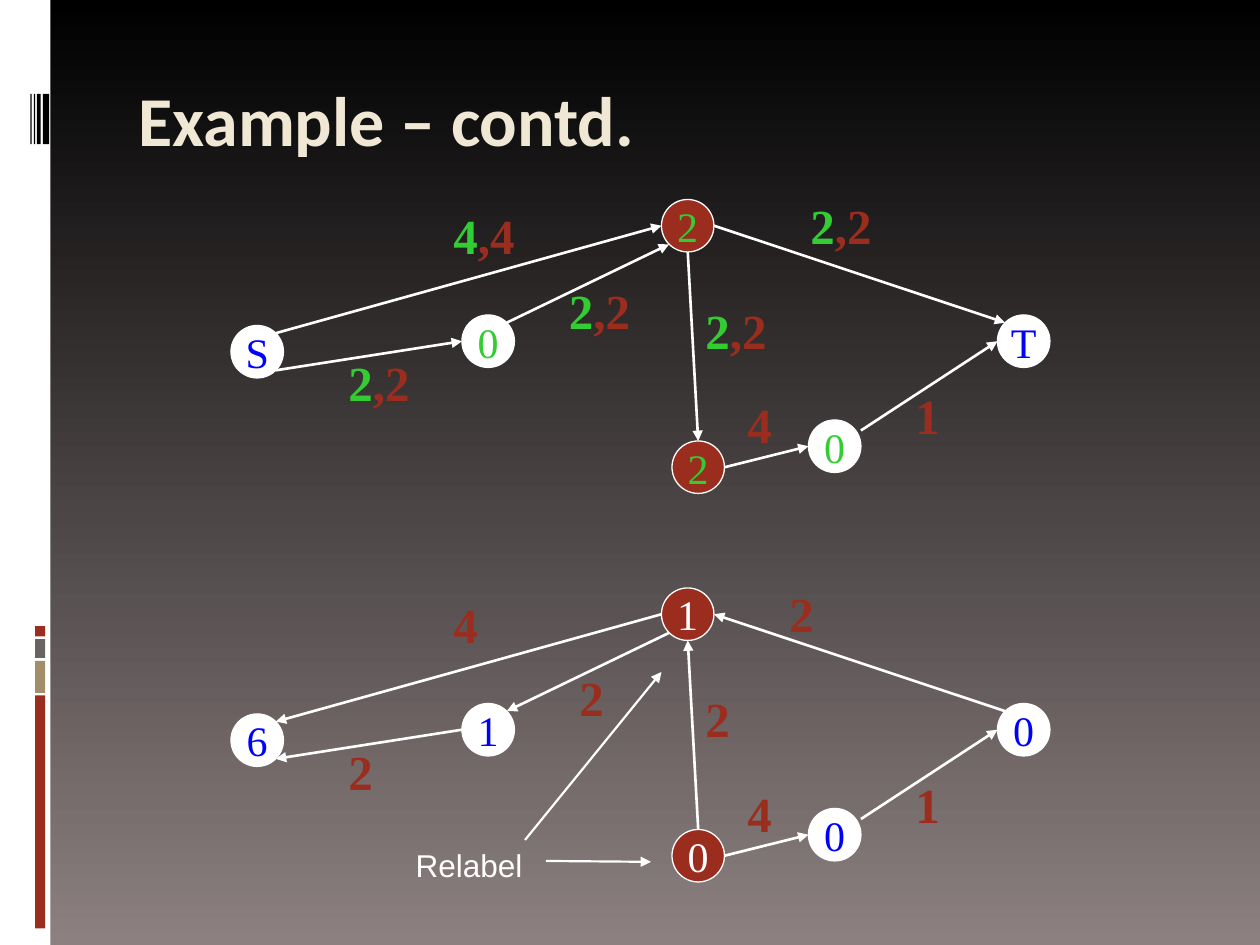
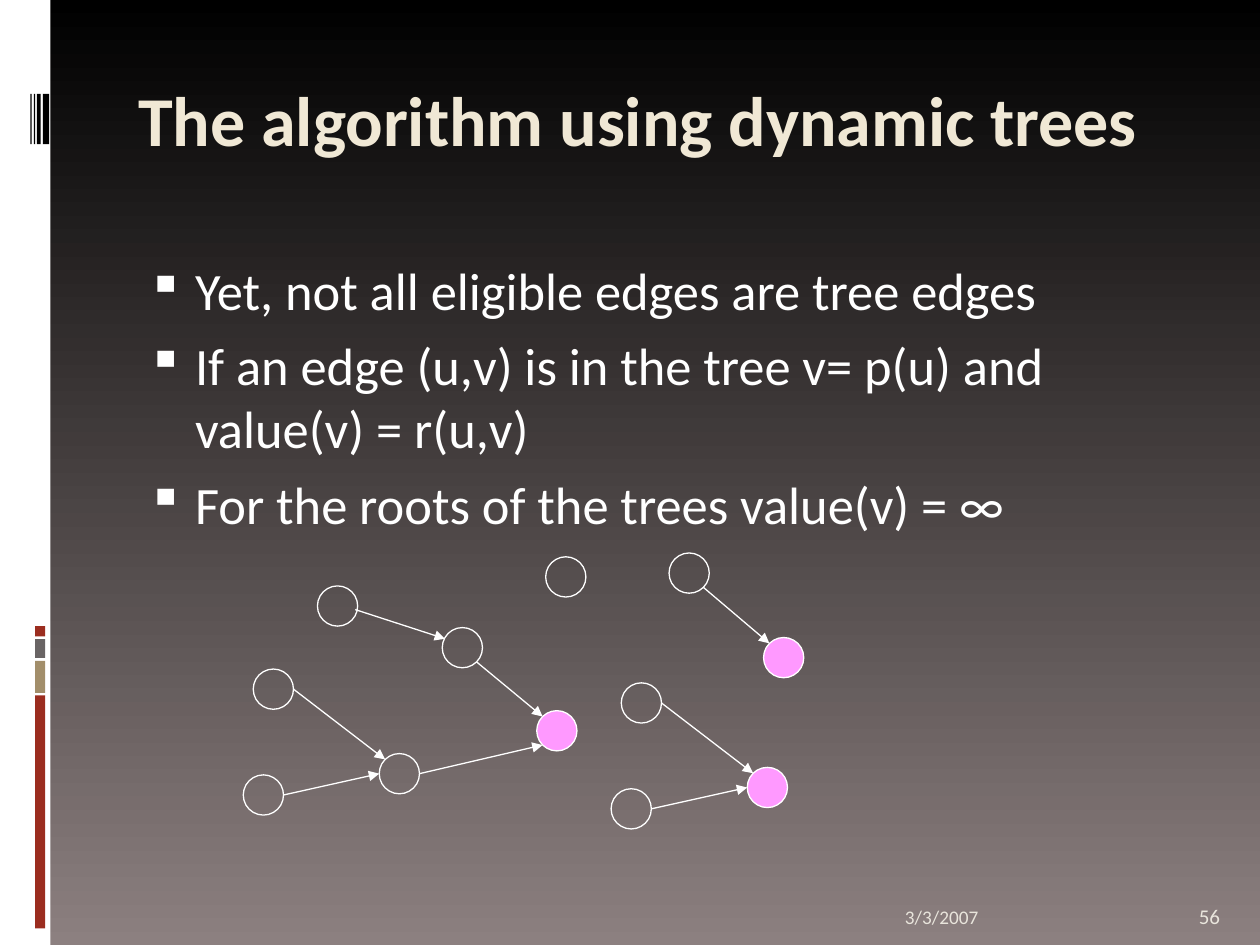
from lxml.etree import SubElement
from pptx import Presentation
from pptx.dml.color import RGBColor
from pptx.enum.shapes import MSO_CONNECTOR as Link, MSO_SHAPE as Form
from pptx.enum.text import MSO_ANCHOR as Anchor, PP_ALIGN as Align
from pptx.oxml.ns import qn
from pptx.util import Pt

WHITE, BLACK, RUST, GREEN, BLUE = "FFFFFF", "000000", "9B2D1F", "33CC33", "0000FF"
SAND, GREY, PINK, CREAM, PALE = "A28E6A", "696464", "FF99FF", "F0E8D5", "E9E5DC"
SANS, SERIF = "Calibri", "Times New Roman"

# Points on a circle as fractions of its box
DIAG = 0.146
PORTS = {
    "n": (0.5, 0), "s": (0.5, 1), "w": (0, 0.5), "e": (1, 0.5),
    "nw": (DIAG, DIAG), "ne": (1 - DIAG, DIAG),
    "sw": (DIAG, 1 - DIAG), "se": (1 - DIAG, 1 - DIAG),
    "upper e": (1, 0.2), "lower e": (0.94, 0.59), "upper w": (0.07, 0.28),
}

# Flow network: places of the vertices, and the ports each edge joins
VERTICES = {"source": (0, 78), "left": (132, 72), "top": (246, 6),
            "low": (252, 144), "right": (330, 132), "sink": (438, 72)}
FLOW_EDGES = [
    ("source", "ne", "top", "w"), ("source", "se", "left", "w"),
    ("left", "ne", "top", "sw"), ("top", "s", "low", "n"),
    ("top", "e", "sink", "nw"), ("low", "e", "right", "w"),
    ("right", "upper e", "sink", "w"),
]
# Per vertex: text and text colour. Per edge: label place, flow, capacity, reversed
PUSHED = (
    {"source": ("S", BLUE), "left": ("0", GREEN), "top": ("2", GREEN),
     "low": ("2", GREEN), "right": ("0", GREEN), "sink": ("T", BLUE)},
    [(120, 6, "4", ",4", False), (60, 90, "2", ",2", False),
     (186, 49, "2", ",2", False), (264, 60, "2", ",2", False),
     (324, 0, "2", ",2", False), (288, 114, "", "4", False),
     (384, 109, "", "1", False)],
)
RELABELED = (
    {"source": ("6", BLUE), "left": ("1", BLUE), "top": ("1", WHITE),
     "low": ("0", WHITE), "right": ("0", BLUE), "sink": ("0", BLUE)},
    [(120, 6, "", "4", True), (60, 90, "", "2", True),
     (192, 48, "", "2", True), (264, 60, "", "2", True),
     (312, 0, "", "2", True), (288, 114, "", "4", False),
     (384, 109, "", "1", False)],
)

# Forest: places of the vertices, and the edges towards the roots
TREE_VERTICES = {
    "inner": (113.7, 42.6), "leaf": (42.4, 18.8), "hub": (77.7, 114.6),
    "low": (0, 126.8), "west": (5.7, 66.3), "big root": (167.7, 90.1),
    "lone": (172.8, 2.2), "upper leaf": (243.3, 0), "upper root": (297.3, 48.3),
    "lower root": (288, 122.5), "lower low": (210.2, 134.7), "lower west": (216, 74.2),
}
TREE_EDGES = [
    ("leaf", "lower e", "inner", "upper w"), ("low", "e", "hub", "w"),
    ("west", "e", "hub", "nw"), ("inner", "se", "big root", "nw"),
    ("hub", "e", "big root", "sw"), ("upper leaf", "se", "upper root", "nw"),
    ("lower low", "e", "lower root", "w"), ("lower west", "e", "lower root", "nw"),
]


def color(value):
    return RGBColor.from_string(value)


def add_span(para, text, size, font, ink, bold=False):
    span = para.add_run()
    span.text = text
    span.font.size, span.font.name, span.font.bold = Pt(size), font, bold
    span.font.color.rgb = color(ink)


def add_text_box(page, left, top, width, height, anchor=Anchor.TOP, wrap=True):
    box = page.shapes.add_textbox(Pt(left), Pt(top), Pt(width), Pt(height))
    box.text_frame.word_wrap = wrap
    box.text_frame.vertical_anchor = anchor
    return box.text_frame


def add_form(page, form, left, top, width, height, fill=None, line=None):
    shape = page.shapes.add_shape(form, Pt(left), Pt(top), Pt(width), Pt(height))
    shape.shadow.inherit = False
    if fill:
        shape.fill.solid()
        shape.fill.fore_color.rgb = color(fill)
    else:
        shape.fill.background()
    if line:
        shape.line.color.rgb = color(line)
        shape.line.width = Pt(0.75)
    else:
        shape.line.fill.background()
    return shape


def add_arrow(page, start, end, weight):
    arrow = page.shapes.add_connector(Link.STRAIGHT, *(Pt(v) for v in (*start, *end)))
    arrow.line.color.rgb = color(WHITE)
    arrow.line.width = Pt(weight)
    SubElement(arrow.line._get_or_add_ln(), qn("a:tailEnd"), type="triangle")
    SubElement(arrow._element.spPr, qn("a:effectLst"))


def port_point(corner, size, port):
    return tuple(c + size * part for c, part in zip(corner, PORTS[port]))


def shift(places, left, top):
    return {name: (left + x, top + y) for name, (x, y) in places.items()}


def add_frame(deck, title):
    """Blank page with the gradient, the side band and the title."""
    page = deck.slides.add_slide(deck.slide_layouts[6])
    fill = page.background.fill
    fill.gradient()
    fill.gradient_angle = 270
    for stop, position, tone in zip(fill.gradient_stops, (0, 1), (BLACK, "8C8080")):
        stop.position = position
        stop.color.rgb = color(tone)
    # Side band with its colour blocks and thin bars
    add_form(page, Form.RECTANGLE, 0, 0, 28.8, 540, WHITE)
    for top, height, tone in ((397.4, 133.2, RUST), (377.7, 18.3, SAND),
                              (365.2, 10.8, GREY), (357.8, 5.8, RUST)):
        add_form(page, Form.RECTANGLE, 20, top, 5.8, height, tone)
    for left, width in ((24.5, 3.6), (21.1, 2.2), (19.4, 0.8), (17.4, 0.7)):
        add_form(page, Form.RECTANGLE, left, 53.6, width, 28.8, BLACK)
    # Title
    frame = add_text_box(page, 72, 40.3, 612, 72)
    add_span(frame.paragraphs[0], title, 40, SANS, CREAM, True)
    return page


def add_flow_network(page, left, top, network):
    size = 30
    values, edges = network
    corners = shift(VERTICES, left, top)
    # Edges and their labels
    for (tail, tail_port, head, head_port), edge in zip(FLOW_EDGES, edges):
        x, y, flow, capacity, backwards = edge
        ends = [port_point(corners[tail], size, tail_port),
                port_point(corners[head], size, head_port)]
        if backwards:
            ends.reverse()
        add_arrow(page, *ends, 1.5)
        frame = add_text_box(page, left + x, top + y, 54 if flow else 30, 41)
        para = frame.paragraphs[0]
        para.space_before = Pt(17.5)
        if flow:
            add_span(para, flow, 28, SERIF, GREEN, True)
        add_span(para, capacity, 28, SERIF, RUST, True)
    # Vertices
    for name, (text, ink) in values.items():
        fill = RUST if name in ("top", "low") else WHITE
        frame = add_form(page, Form.OVAL, *corners[name], size, size, fill, WHITE).text_frame
        frame.word_wrap = False
        frame.vertical_anchor = Anchor.MIDDLE
        frame.paragraphs[0].alignment = Align.CENTER
        add_span(frame.paragraphs[0], text, 24, SERIF, ink)


def add_relabel_note(page, left, top):
    frame = add_text_box(page, left, top, 75.6, 28.8, wrap=False)
    add_span(frame.paragraphs[0], "Relabel", 18, "Arial", WHITE)
    add_arrow(page, (left + 81.6, top + 12), (left + 141.6, top + 12.5), 1.25)
    add_arrow(page, (left + 69.6, top), (left + 147.6, top - 96), 1.25)


def add_bullets(page, left, top, width, height, lines):
    frame = add_text_box(page, left, top, width, height)
    for index, line in enumerate(lines):
        para = frame.add_paragraph() if index else frame.paragraphs[0]
        para.space_before = Pt(7)
        props = para._p.get_or_add_pPr()
        props.set("marL", str(Pt(32.4)))
        props.set("indent", str(Pt(-27.4)))
        SubElement(SubElement(props, qn("a:buClr")), qn("a:srgbClr"), val=WHITE)
        SubElement(props, qn("a:buSzPct"), val="95000")
        SubElement(props, qn("a:buChar"), char="▪")
        add_span(para, line, 30, SANS, WHITE)


def add_footer(page, left, top, date, number):
    for x, width, text, size in ((left, 168, date, 11), (left + 168, 36, number, 12)):
        frame = add_text_box(page, x, top, width, 28.8, Anchor.BOTTOM)
        add_span(frame.paragraphs[0], text, size, SANS, PALE)


def add_forest(page, left, top):
    size = 23
    corners = shift(TREE_VERTICES, left, top)
    for name, corner in corners.items():
        fill = PINK if name.endswith("root") else None
        add_form(page, Form.OVAL, *corner, size, size, fill, WHITE)
    for child, child_port, parent, parent_port in TREE_EDGES:
        add_arrow(page, port_point(corners[child], size, child_port),
                  port_point(corners[parent], size, parent_port), 0.75)


def build_example_page(deck):
    page = add_frame(deck, "Example – contd.")
    add_flow_network(page, 132, 108, PUSHED)
    add_flow_network(page, 132, 330, RELABELED)
    add_relabel_note(page, 230.4, 480)


def build_trees_page(deck):
    page = add_frame(deck, "The algorithm using dynamic trees")
    add_bullets(page, 72, 144, 612, 360, (
        "Yet, not all eligible edges are tree edges",
        "If an edge (u,v) is in the tree v= p(u) and value(v) = r(u,v)",
        "For the roots of the trees value(v) = ∞",
    ))
    add_footer(page, 510, 505.4, "3/3/2007", "56")
    add_forest(page, 139, 316)


def main():
    deck = Presentation()
    deck.slide_width, deck.slide_height = Pt(720), Pt(540)
    build_example_page(deck)
    build_trees_page(deck)
    deck.save("out.pptx")


if __name__ == "__main__":
    main()
